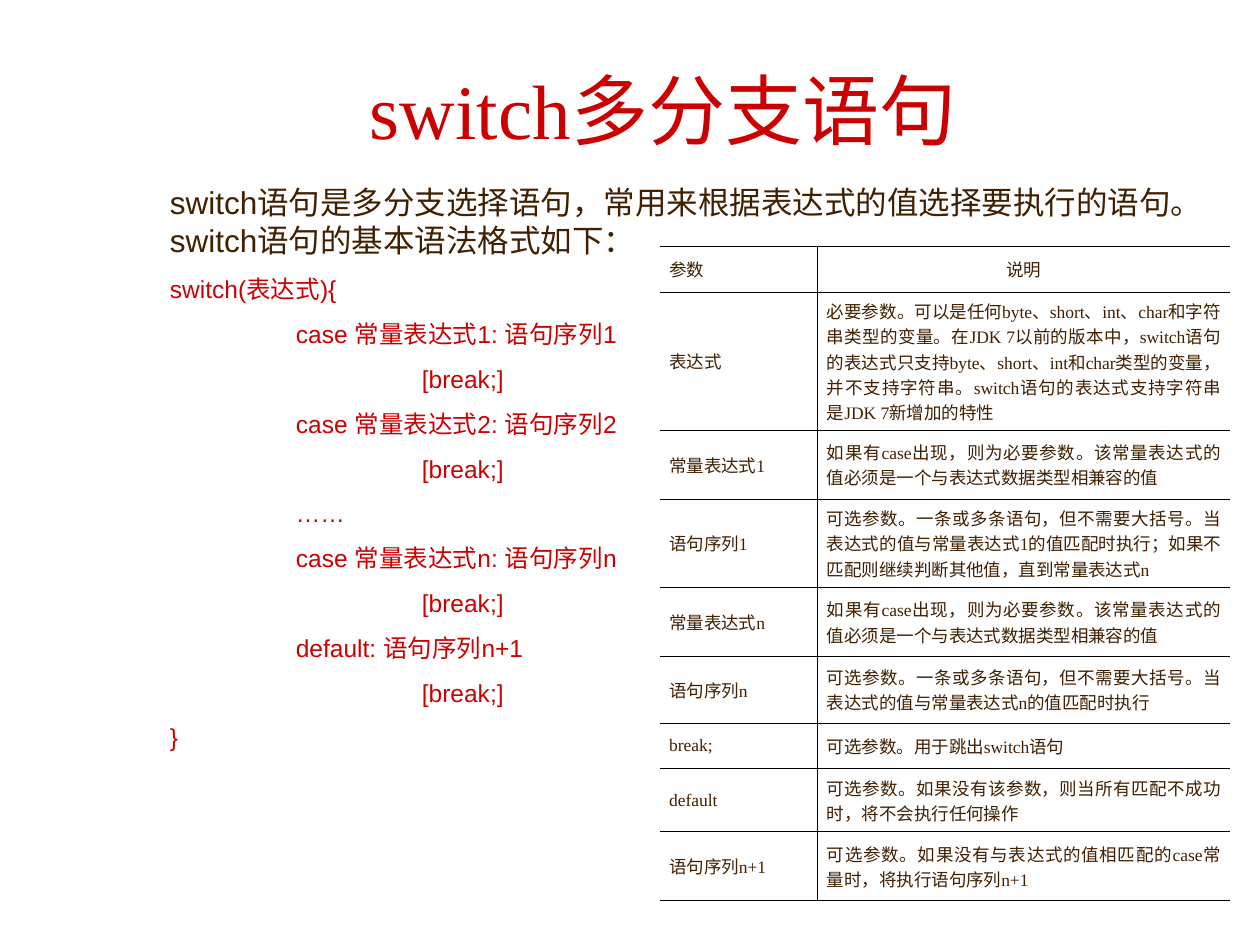
from dataclasses import dataclass

from lxml.etree import SubElement
from pptx import Presentation
from pptx.dml.color import RGBColor
from pptx.enum.text import MSO_ANCHOR, MSO_AUTO_SIZE, PP_ALIGN
from pptx.oxml import parse_xml
from pptx.oxml.ns import nsdecls, qn
from pptx.util import Cm, Pt

RED = RGBColor(0xCC, 0x00, 0x00)
BROWN = RGBColor(0x40, 0x20, 0x00)
BORDER = RGBColor(0x00, 0x00, 0x00)
BORDER_WIDTH = Pt(0.45)
INDENT_STEP = Cm(2.54)


@dataclass
class Parameter:
    name: str
    description: str
    height: float  # cm
    align: PP_ALIGN = PP_ALIGN.JUSTIFY


@dataclass
class Line:
    text: str
    indent: int = 0
    size: float = 14
    color: RGBColor = RED


CONSTANT_NOTE = "如果有case出现，则为必要参数。该常量表达式的值必须是一个与表达式数据类型相兼容的值"
PARAMETERS = [
    Parameter("参数", "说明", 0.93, PP_ALIGN.CENTER),
    Parameter("表达式", "必要参数。可以是任何byte、short、int、char和字符串类型的变量。"
              "在JDK 7以前的版本中，switch语句的表达式只支持byte、short、int和char类型的变量，"
              "并不支持字符串。switch语句的表达式支持字符串是JDK 7新增加的特性", 2.78),
    Parameter("常量表达式1", CONSTANT_NOTE, 1.39),
    Parameter("语句序列1", "可选参数。一条或多条语句，但不需要大括号。当表达式的值与常量表达式1的值匹配时执行；"
              "如果不匹配则继续判断其他值，直到常量表达式n", 1.79),
    Parameter("常量表达式n", CONSTANT_NOTE, 1.38),
    Parameter("语句序列n", "可选参数。一条或多条语句，但不需要大括号。"
              "当表达式的值与常量表达式n的值匹配时执行", 1.35),
    Parameter("break;", "可选参数。用于跳出switch语句", 0.92),
    Parameter("default", "可选参数。如果没有该参数，则当所有匹配不成功时，将不会执行任何操作", 1.27),
    Parameter("语句序列n+1", "可选参数。如果没有与表达式的值相匹配的case常量时，将执行语句序列n+1", 1.39),
]

BREAK = Line("[break;]", 2)
LINES = [
    Line("switch语句是多分支选择语句，常用来根据表达式的值选择要执行的语句。"
         "switch语句的基本语法格式如下：", size=18, color=BROWN),
    Line("switch(表达式){"),
    Line("case 常量表达式1: 语句序列1", 1), BREAK,
    Line("case 常量表达式2: 语句序列2", 1), BREAK,
    Line("……", 1),
    Line("case 常量表达式n: 语句序列n", 1), BREAK,
    Line("default: 语句序列n+1", 1), BREAK,
    Line("}"),
]


def place(s, left: float, top: float, width: float, height: float) -> None:
    s.left, s.top, s.width, s.height = Cm(left), Cm(top), Cm(width), Cm(height)


def style_runs(p, font: str, size: float, color: RGBColor) -> None:
    for r in p.runs:
        r.font.name, r.font.size = font, Pt(size)
        r.font.color.rgb = color


def set_indent(p, steps: int) -> None:
    """Remove the bullet and indent the paragraph by whole steps."""
    pPr = p._p.get_or_add_pPr()
    pPr.set("marL", str(INDENT_STEP * steps))
    pPr.set("indent", "0")
    SubElement(pPr, qn("a:buNone"))


def set_borders(cell, visible: str) -> None:
    """Draw the sides named in visible and clear the others."""
    tcPr = cell._tc.get_or_add_tcPr()
    for i, side in enumerate("LRTB"):
        paint = (f'<a:solidFill><a:srgbClr val="{BORDER}"/></a:solidFill>'
                 if side in visible else "<a:noFill/>")
        tcPr.insert(i, parse_xml(
            f'<a:ln{side} {nsdecls("a")} w="{BORDER_WIDTH}">{paint}</a:ln{side}>'))


def fill_cell(cell, text: str, align: PP_ALIGN, borders: str) -> None:
    cell.fill.background()
    set_borders(cell, borders)
    cell.vertical_anchor = MSO_ANCHOR.MIDDLE
    cell.margin_left = cell.margin_right = Cm(0.19)
    cell.margin_top = cell.margin_bottom = Cm(0.13)
    p = cell.text_frame.paragraphs[0]
    p.text = text
    p.alignment = align
    p.space_after = Pt(1.2)
    style_runs(p, "Times New Roman", 10, BROWN)


def add_parameter_table(s, rows: list[Parameter]) -> None:
    frame = s.shapes.add_table(len(rows), 2, Cm(13.3), Cm(4.96), Cm(11.5),
                               Cm(sum(row.height for row in rows)))
    table = frame.table
    table.first_row = table.horz_banding = False
    for column, width in zip(table.columns, (3.18, 8.32)):
        column.width = Cm(width)
    for i, row in enumerate(rows):
        table.rows[i].height = Cm(row.height)
        fill_cell(table.cell(i, 0), row.name, PP_ALIGN.LEFT, "RTB")
        fill_cell(table.cell(i, 1), row.description, row.align, "LTB")


def main() -> None:
    prs = Presentation()
    prs.slide_width, prs.slide_height = Cm(25.4), Cm(19.05)
    s = prs.slides.add_slide(prs.slide_layouts[1])

    # Title
    title = s.shapes.title
    place(title, 2.55, 0.79, 21.64, 2.82)
    tf = title.text_frame
    tf.text = "switch多分支语句"
    tf.vertical_anchor = MSO_ANCHOR.MIDDLE
    tf.auto_size = MSO_AUTO_SIZE.NONE
    p = tf.paragraphs[0]
    p.alignment = PP_ALIGN.CENTER
    style_runs(p, "Times New Roman", 44, RED)

    # Introduction and syntax
    body = s.placeholders[1]
    place(body, 3.17, 3.57, 21.64, 11.71)
    tf = body.text_frame
    tf.auto_size = MSO_AUTO_SIZE.SHAPE_TO_FIT_TEXT
    tf.text = "\n".join(line.text for line in LINES)
    for i, (p, line) in enumerate(zip(tf.paragraphs, LINES)):
        set_indent(p, line.indent)
        p.space_before = Pt(8.8 if i else 0)
        style_runs(p, "Arial", line.size, line.color)

    # Parameter descriptions
    add_parameter_table(s, PARAMETERS)

    prs.save("out.pptx")


if __name__ == "__main__":
    main()
